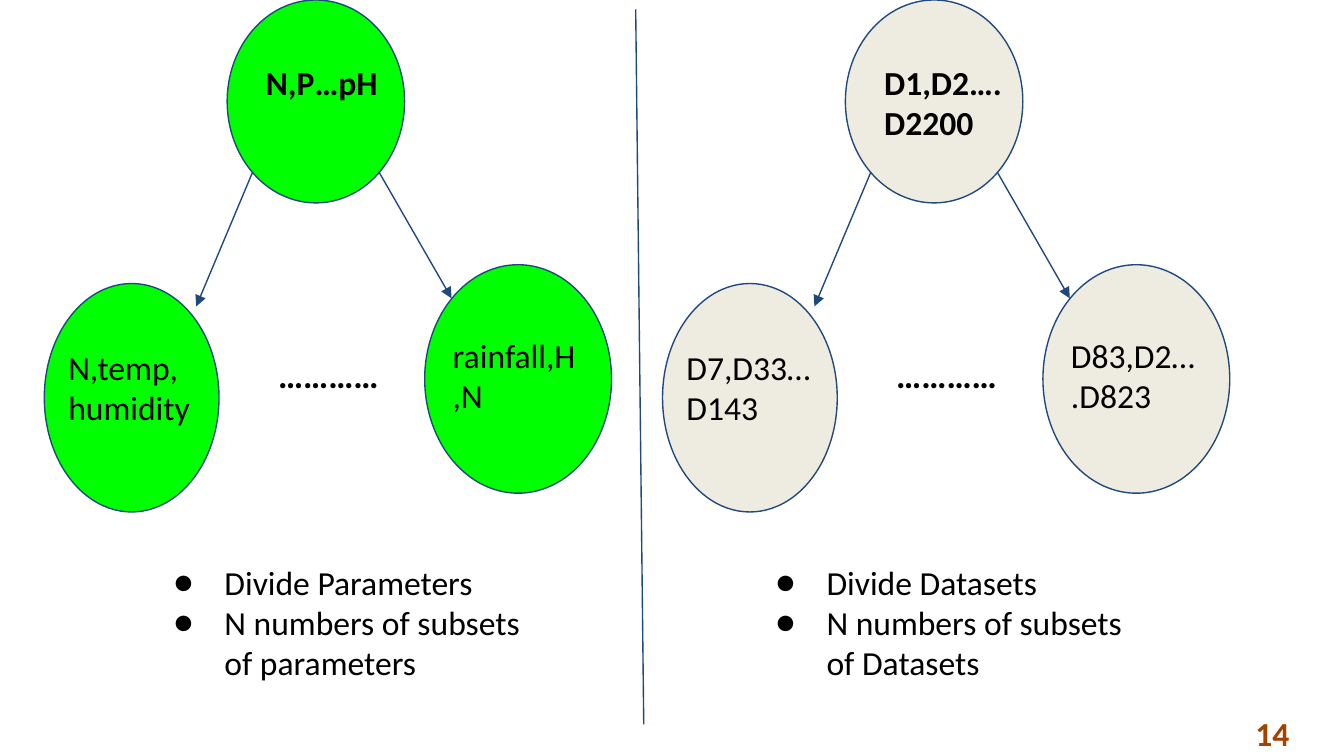
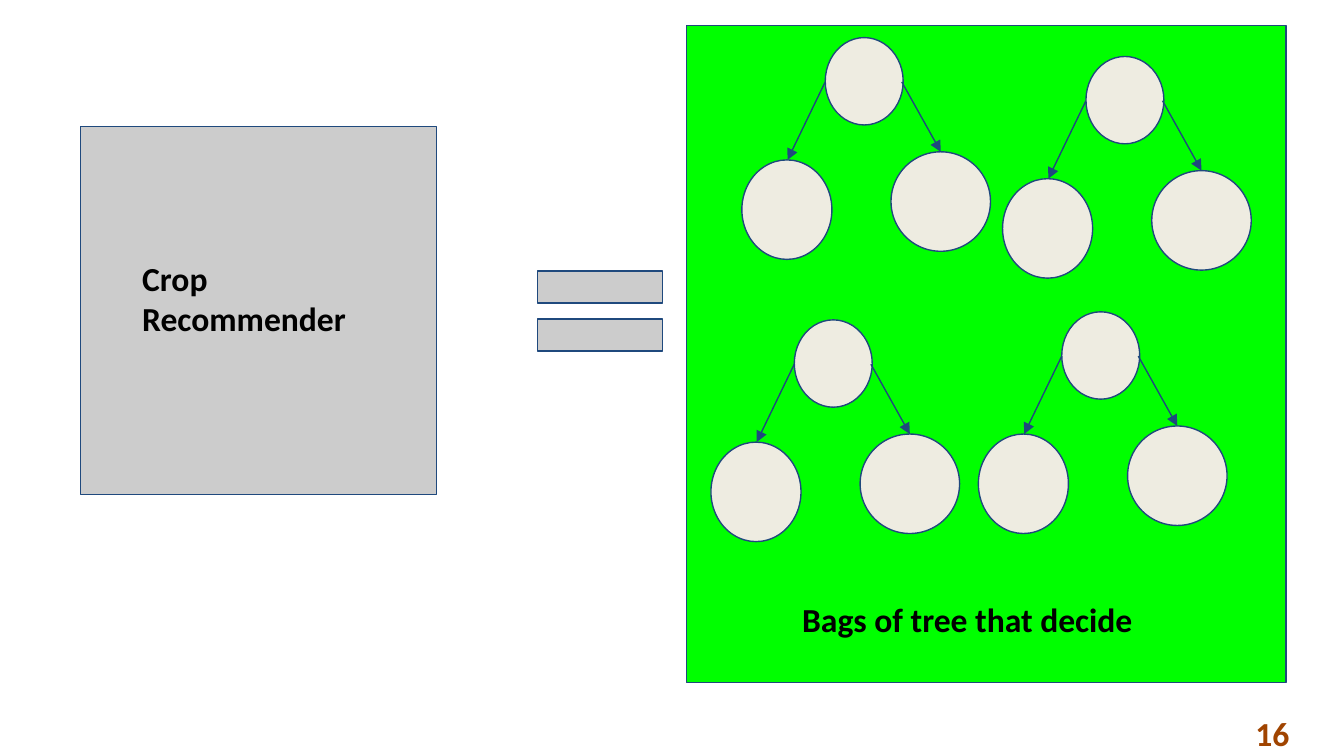
from dataclasses import dataclass
from typing import Any, Optional

from lxml.etree import SubElement
from pptx import Presentation
from pptx.dml.color import RGBColor
from pptx.enum.shapes import MSO_CONNECTOR as Connector, MSO_SHAPE as Preset
from pptx.enum.text import MSO_ANCHOR as Anchor, MSO_AUTO_SIZE as AutoSize, PP_ALIGN as Align
from pptx.oxml.ns import qn
from pptx.util import Inches, Pt

# Shared look
PAGE_WIDTH = 10
PAGE_HEIGHT = PAGE_WIDTH * 9 / 16
GREEN = RGBColor(0x00, 0xFF, 0x00)
CREAM = RGBColor(0xEE, 0xEC, 0xE1)
GREY = RGBColor(0xCC, 0xCC, 0xCC)
NAVY = RGBColor(0x1F, 0x49, 0x7D)
BLACK = RGBColor(0x00, 0x00, 0x00)
RUST = RGBColor(0xA0, 0x44, 0x00)
FONT = "Calibri"
LINE_WIDTH = Pt(0.75)
PADDING = 0.1
TWO_CONTENT, BLANK = 3, 6


@dataclass(frozen=True)
class Box:
    left: float
    top: float
    width: float
    height: float

    def shifted(self, x: float, y: float) -> "Box":
        return Box(self.left + x, self.top + y, self.width, self.height)

    def lengths(self) -> list[Inches]:
        return [Inches(v) for v in (self.left, self.top, self.width, self.height)]


@dataclass(frozen=True)
class Arrow:
    x1: float
    y1: float
    x2: float
    y2: float


@dataclass(frozen=True)
class TreeForm:
    """Nodes and branches, measured from the root's top left corner."""
    nodes: tuple[Box, ...]
    branches: tuple[Arrow, ...]


@dataclass(frozen=True)
class Label:
    text: str
    box: Box
    bold: bool = False
    size: float = 18
    fill: Optional[RGBColor] = None


@dataclass(frozen=True)
class SplitTree:
    root_x: float
    color: RGBColor
    root: Label
    left: str
    right: str
    right_fill: Optional[RGBColor]
    list_box: Box
    points: tuple[str, str]


LARGE_TREE = TreeForm(
    (Box(0, 0, 1.32, 1.51), Box(-1.36, 2.11, 1.3, 1.7), Box(1.47, 1.97, 1.39, 1.7)),
    (Arrow(0.19, 1.28, -0.23, 2.28), Arrow(1.13, 1.28, 1.67, 2.22)),
)
SMALL_TREE = TreeForm(
    (Box(0, 0, 0.58, 0.65), Box(-0.62, 0.91, 0.67, 0.74), Box(0.49, 0.85, 0.74, 0.74)),
    (Arrow(0, 0.33, -0.28, 0.91), Arrow(0.57, 0.33, 0.86, 0.85)),
)
SPLITS = (
    SplitTree(1.69, GREEN, Label("N,P…pH", Box(0.19, 0.36, 1.15, 0.5), True),
              "N,temp,humidity", "rainfall,H,N", GREEN, Box(1.07, 4.08, 3.01, 1.36),
              ("Divide Parameters", "N numbers of subsets of parameters")),
    SplitTree(6.29, CREAM, Label("D1,D2….D2200", Box(0.19, 0.36, 1.15, 0.81), True),
              "D7,D33…D143", "D83,D2….D823", None, Box(5.55, 4.08, 3.01, 1.36),
              ("Divide Datasets", "N numbers of subsets of Datasets")),
)
BAG_ROOTS = ((6.14, 0.28), (8.08, 0.42), (5.91, 2.38), (7.9, 2.32))


def apply(target: Any, values: dict[str, Any]) -> None:
    for name, value in values.items():
        setattr(target, name, value)


def format_frame(frame: Any, padding: float = PADDING) -> None:
    margins = {f"margin_{side}": Inches(padding) for side in ("left", "top", "right", "bottom")}
    apply(frame, margins | {"word_wrap": True, "auto_size": AutoSize.NONE,
                            "vertical_anchor": Anchor.TOP})


def format_text(paragraph: Any, size: float = 18, bold: bool = False,
                color: RGBColor = BLACK) -> None:
    apply(paragraph, {"alignment": Align.LEFT, "space_before": Pt(0), "space_after": Pt(0)})
    for run in paragraph.runs:
        apply(run.font, {"name": FONT, "size": Pt(size), "bold": bold})
        run.font.color.rgb = color


def indent(paragraph: Any, left: float, first: float) -> Any:
    properties = paragraph._p.get_or_add_pPr()
    properties.set("marL", str(Inches(left)))
    properties.set("indent", str(Inches(first)))
    return properties


def draw_shape(slide: Any, preset: Preset, box: Box, fill: RGBColor) -> Any:
    shape = slide.shapes.add_shape(preset, *box.lengths())
    shape.shadow.inherit = False
    shape.fill.solid()
    shape.fill.fore_color.rgb = fill
    shape.line.color.rgb = NAVY
    shape.line.width = LINE_WIDTH
    return shape


def draw_line(slide: Any, ends: Arrow, x: float = 0, y: float = 0, head: bool = False) -> None:
    line = slide.shapes.add_connector(
        Connector.STRAIGHT, Inches(ends.x1 + x), Inches(ends.y1 + y),
        Inches(ends.x2 + x), Inches(ends.y2 + y))
    line.line.color.rgb = NAVY
    line.line.width = LINE_WIDTH
    if head:
        SubElement(line.line._get_or_add_ln(), qn("a:tailEnd")).set("type", "triangle")
    SubElement(line._element.spPr, qn("a:effectLst"))


def draw_label(slide: Any, label: Label, x: float = 0, y: float = 0) -> None:
    textbox = slide.shapes.add_textbox(*label.box.shifted(x, y).lengths())
    if label.fill is not None:
        textbox.fill.solid()
        textbox.fill.fore_color.rgb = label.fill
    format_frame(textbox.text_frame)
    textbox.text_frame.text = label.text
    format_text(textbox.text_frame.paragraphs[0], label.size, label.bold)


def draw_tree(slide: Any, form: TreeForm, x: float, y: float, color: RGBColor) -> None:
    for node in form.nodes:
        draw_shape(slide, Preset.OVAL, node.shifted(x, y), color)
    for branch in form.branches:
        draw_line(slide, branch, x, y, head=True)


def fill_list(body: Any, box: Box, points: tuple[str, ...]) -> None:
    apply(body, dict(zip(("left", "top", "width", "height"), box.lengths())))
    format_frame(body.text_frame)
    body.text_frame.text = "\n".join(points)
    for paragraph in body.text_frame.paragraphs:
        format_text(paragraph)
        properties = indent(paragraph, 0.5, -0.38)
        bullet_color = SubElement(properties, qn("a:buClr"))
        SubElement(bullet_color, qn("a:srgbClr")).set("val", str(BLACK))
        SubElement(properties, qn("a:buFont")).set("typeface", FONT)
        SubElement(properties, qn("a:buChar")).set("char", "●")


def add_page(deck: Any, layout: int, number: int) -> Any:
    slide = deck.slides.add_slide(deck.slide_layouts[layout])
    page_number = slide.shapes.add_textbox(*Box(9.3, 5.3, 0.34, 0.3).lengths())
    format_frame(page_number.text_frame, padding=0)
    page_number.text_frame.text = str(number)
    paragraph = page_number.text_frame.paragraphs[0]
    format_text(paragraph, bold=True, color=RUST)
    paragraph.line_spacing = 1.01
    indent(paragraph, 0.04, 0)
    return slide


def build_splits(deck: Any) -> None:
    slide = add_page(deck, TWO_CONTENT, 14)
    title = slide.shapes.title._element
    title.getparent().remove(title)
    for split, body in zip(SPLITS, list(slide.placeholders)):
        draw_tree(slide, LARGE_TREE, split.root_x, 0, split.color)
        for label in (
            split.root,
            Label(split.left, Box(-1.28, 2.48, 1.14, 0.82)),
            Label("…………", Box(0.28, 2.53, 0.98, 0.72), True, 19),
            Label(split.right, Box(1.58, 2.39, 1.15, 0.72), fill=split.right_fill),
        ):
            draw_label(slide, label, split.root_x)
        fill_list(body, split.list_box, split.points)
    # Divider between the two ways of splitting
    draw_line(slide, Arrow(4.73, 0.07, 4.79, 5.39))


def build_bag(deck: Any) -> None:
    slide = add_page(deck, BLANK, 16)
    # Recommender equals bag of trees
    draw_shape(slide, Preset.RECTANGLE, Box(0.6, 0.94, 2.65, 2.74), GREY)
    equals = draw_shape(slide, Preset.MATH_EQUAL, Box(3.83, 1.82, 1.27, 0.99), GREY)
    equals.adjustments[0], equals.adjustments[1] = 0.24, 0.12
    draw_shape(slide, Preset.RECTANGLE, Box(5.11, 0.19, 4.46, 4.89), GREEN)
    for x, y in BAG_ROOTS:
        draw_tree(slide, SMALL_TREE, x, y, CREAM)
    # Captions
    draw_label(slide, Label("Bags of tree that decide", Box(5.87, 4.36, 2.89, 0.52), True))
    draw_label(slide, Label("Crop Recommender", Box(0.96, 1.82, 1.93, 0.82), True))


def main() -> None:
    deck = Presentation()
    apply(deck, {"slide_width": Inches(PAGE_WIDTH), "slide_height": Inches(PAGE_HEIGHT)})
    build_splits(deck)
    build_bag(deck)
    deck.save("out.pptx")


if __name__ == "__main__":
    main()
